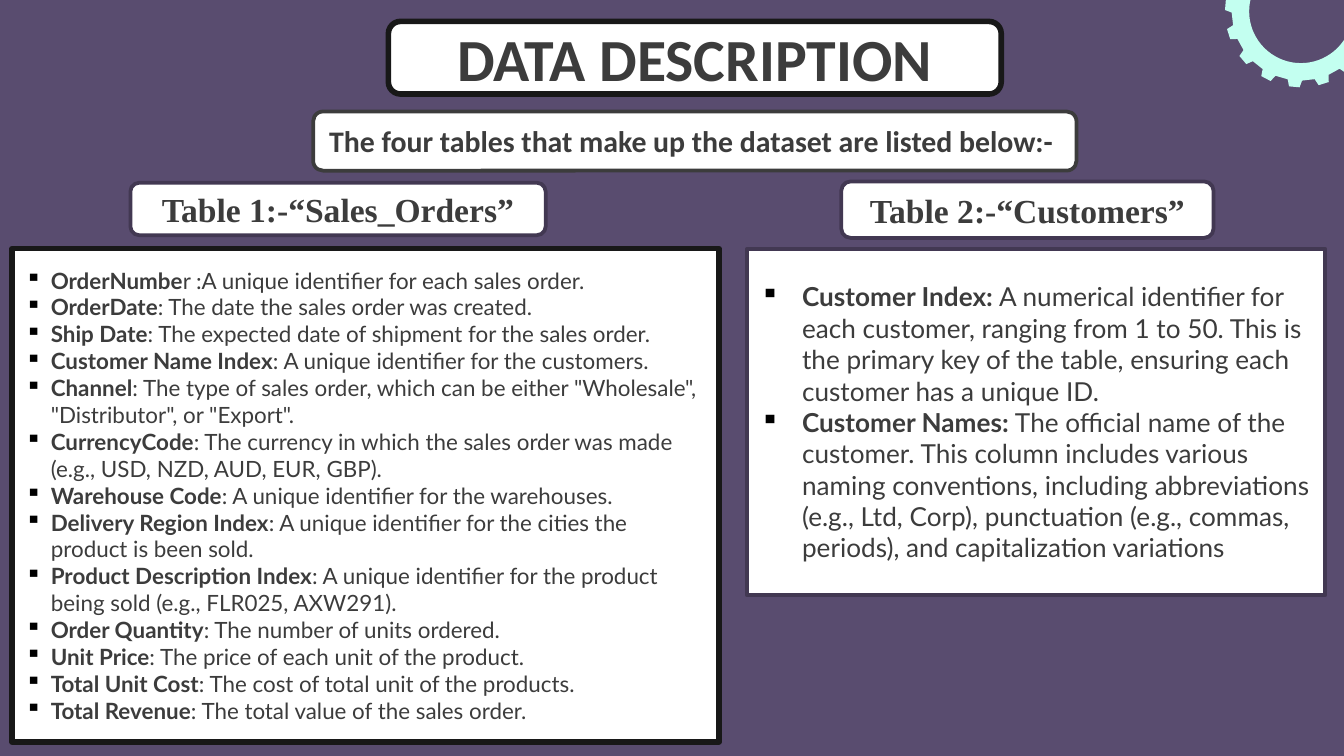
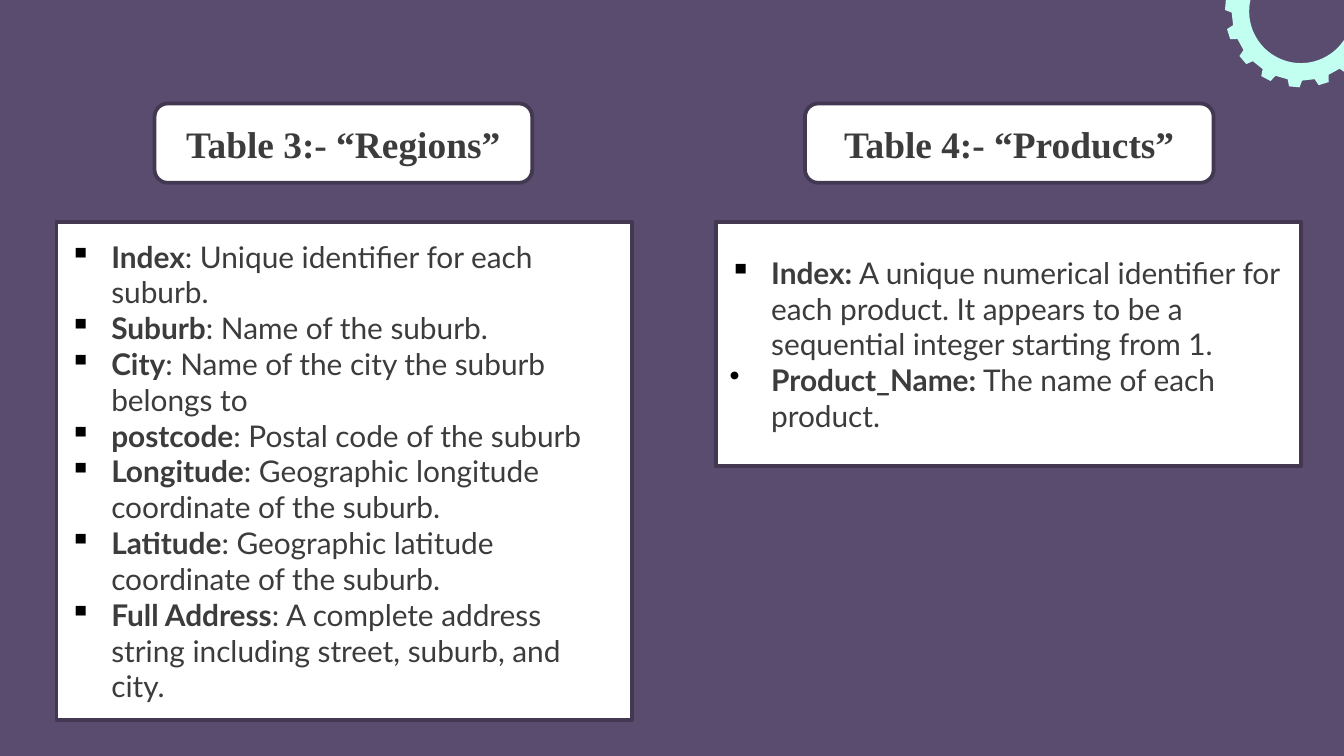
from math import cos, radians, sin

from lxml.etree import SubElement
from pptx import Presentation
from pptx.dml.color import RGBColor
from pptx.enum.shapes import MSO_SHAPE
from pptx.enum.text import MSO_ANCHOR, PP_ALIGN
from pptx.oxml.ns import qn
from pptx.util import Emu, Inches, Pt

BACKGROUND, WHITE, MINT = "594C6F", "FFFFFF", "C3FFF0"
INK, BLACK, PLUM, BULLET = "3C3C3C", "181818", "423852", "000000"
TITLE_FONT, HEADING_FONT, BODY_FONT = "Calibri", "Times New Roman", "Lato"
GRID_COLUMNS = 100

SALES_ORDERS = [
    ("OrderNumbe", "r :A unique identifier for each sales order."),
    ("OrderDate", ": The date the sales order was created."),
    ("Ship Date", ": The expected date of shipment for the sales order."),
    ("Customer Name Index", ": A unique identifier for the customers."),
    ("Channel", ': The type of sales order, which can be either "Wholesale", '
                '"Distributor", or "Export".'),
    ("CurrencyCode", ": The currency in which the sales order was made "
                     "(e.g., USD, NZD, AUD, EUR, GBP)."),
    ("Warehouse Code", ": A unique identifier for the warehouses."),
    ("Delivery Region Index", ": A unique identifier for the cities the "
                              "product is been sold."),
    ("Product Description Index", ": A unique identifier for the product "
                                  "being sold (e.g., FLR025, AXW291)."),
    ("Order Quantity", ": The number of units ordered."),
    ("Unit Price", ": The price of each unit of the product."),
    ("Total Unit Cost", ": The cost of total unit of the products."),
    ("Total Revenue", ": The total value of the sales order."),
]
CUSTOMERS = [
    ("Customer Index:", " A numerical identifier for each customer, ranging "
                        "from 1 to 50. This is the primary key of the table, "
                        "ensuring each customer has a unique ID."),
    ("Customer Names:", " The official name of the customer. This column "
                        "includes various naming conventions, including "
                        "abbreviations (e.g., Ltd, Corp), punctuation (e.g., "
                        "commas, periods), and capitalization variations"),
]
REGIONS = [
    ("Index", ": Unique identifier for each suburb."),
    ("Suburb", ": Name of the suburb."),
    ("City", ": Name of the city the suburb belongs to"),
    ("postcode", ": Postal code of the suburb"),
    ("Longitude", ": Geographic longitude coordinate of the suburb."),
    ("Latitude", ": Geographic latitude coordinate of the suburb."),
    ("Full Address", ": A complete address string including street, suburb, "
                     "and city."),
]
PRODUCTS = [
    ("Index:", " A unique numerical identifier for each product. It appears "
               "to be a sequential integer starting from 1."),
    ("Product_Name:", " The name of each product."),
]


def rgb(value):
    return RGBColor.from_string(value)


def add_text(paragraph, text, size, font=BODY_FONT, bold=False, color=INK):
    run = paragraph.add_run()
    run.text = text
    run.font.size = Pt(size)
    run.font.name = font
    run.font.bold = bold
    run.font.color.rgb = rgb(color)


def add_bullet(paragraph, mark, indent):
    properties = paragraph._p.get_or_add_pPr()
    properties.set("marL", str(Inches(indent)))
    properties.set("indent", str(-Inches(indent)))
    color = SubElement(properties, qn("a:buClr"))
    SubElement(color, qn("a:srgbClr")).set("val", BULLET)
    SubElement(properties, qn("a:buChar")).set("char", mark)


class Deck:
    """Shared style and current slide; lengths are in square grid cells."""

    def __init__(self):
        self.presentation = Presentation()
        self.presentation.slide_width = Inches(10)
        self.presentation.slide_height = Inches(10) * 9 // 16
        self.cell = self.presentation.slide_width / GRID_COLUMNS

    def grid(self, *cells):
        return [Emu(round(count * self.cell)) for count in cells]

    def new_slide(self):
        layout = self.presentation.slide_layouts[6]
        self.slide = self.presentation.slides.add_slide(layout)
        fill = self.slide.background.fill
        fill.solid()
        fill.fore_color.rgb = rgb(BACKGROUND)
        self.gear(center=(96.8, 0.85))

    def gear(self, center, teeth=16, start=95):
        def point(radius, degrees):
            angle = radians(degrees)
            return self.grid(center[0] + radius * cos(angle),
                             center[1] + radius * sin(angle))

        step = 360 / teeth
        profile = [(5.15, -6), (5.65, -4), (5.65, 4), (5.15, 6)]
        rim = [point(radius, start + tooth * step + turn)
               for tooth in range(teeth) for radius, turn in profile]
        hole = [point(3.85, -degrees) for degrees in range(0, 360, 5)]
        builder = self.slide.shapes.build_freeform(*rim[0])
        builder.add_line_segments(rim[1:])
        builder.move_to(*hole[0])
        builder.add_line_segments(hole[1:])
        outline = builder.convert_to_shape()
        outline.shadow.inherit = False
        outline.fill.solid()
        outline.fill.fore_color.rgb = rgb(MINT)
        outline.line.fill.background()

    def box(self, area, preset, border, weight):
        """Draw a white bordered box and return its text frame."""
        shape = self.slide.shapes.add_shape(preset, *self.grid(*area))
        shape.shadow.inherit = False
        shape.fill.solid()
        shape.fill.fore_color.rgb = rgb(WHITE)
        shape.line.color.rgb = rgb(border)
        shape.line.width = Pt(weight)
        frame = shape.text_frame
        frame.word_wrap = True
        frame.vertical_anchor = MSO_ANCHOR.MIDDLE
        return frame

    def label(self, text, area, size, font=HEADING_FONT, border=PLUM,
              weight=2, align=PP_ALIGN.CENTER):
        frame = self.box(area, MSO_SHAPE.ROUNDED_RECTANGLE, border, weight)
        paragraph = frame.paragraphs[0]
        paragraph.alignment = align
        add_text(paragraph, text, size, font=font, bold=True)

    def field_list(self, fields, area, size, indent=0.31, border=PLUM,
                   weight=2, last_mark="▪"):
        frame = self.box(area, MSO_SHAPE.RECTANGLE, border, weight)
        for index, (field, meaning) in enumerate(fields):
            paragraph = frame.add_paragraph() if index else frame.paragraphs[0]
            paragraph.alignment = PP_ALIGN.LEFT
            is_last = index == len(fields) - 1
            add_bullet(paragraph, last_mark if is_last else "▪", indent)
            add_text(paragraph, field, size, bold=True)
            add_text(paragraph, meaning, size)


def build_orders_and_customers(deck):
    deck.new_slide()
    deck.label("DATA DESCRIPTION", (28.9, 1.6, 45.6, 5.4), 32,
               font=TITLE_FONT, border=BLACK, weight=3)
    deck.label("Table 1:-“Sales_Orders”", (9.7, 13.6, 30.9, 3.9), 18)
    deck.label("Table 2:-“Customers”", (62.6, 13.5, 27.7, 4.2), 18)
    deck.label("The four tables that make up the dataset are listed below:-",
               (23.3, 8.3, 56.8, 4.4), 16, font=TITLE_FONT, border=INK,
               align=PP_ALIGN.LEFT)
    deck.field_list(SALES_ORDERS, (0.9, 18.5, 52.6, 36.7), 12, indent=0.19,
                    border=BLACK, weight=3)
    deck.field_list(CUSTOMERS, (55.6, 18.5, 43, 25.8), 14)


def build_regions_and_products(deck):
    deck.new_slide()
    heading_top, heading_height, list_top = 7.7, 5.9, 16.5
    deck.label("Table 3:- “Regions”",
               (11.5, heading_top, 28.1, heading_height), 20)
    deck.label("Table 4:- “Products”",
               (59.9, heading_top, 30.4, heading_height), 20)
    deck.field_list(REGIONS, (4.2, list_top, 42.8, 37.1), 16)
    deck.field_list(PRODUCTS, (53.3, list_top, 43.5, 18.2), 16, last_mark="•")


def main():
    deck = Deck()
    build_orders_and_customers(deck)
    build_regions_and_products(deck)
    deck.presentation.save("out.pptx")


if __name__ == "__main__":
    main()
